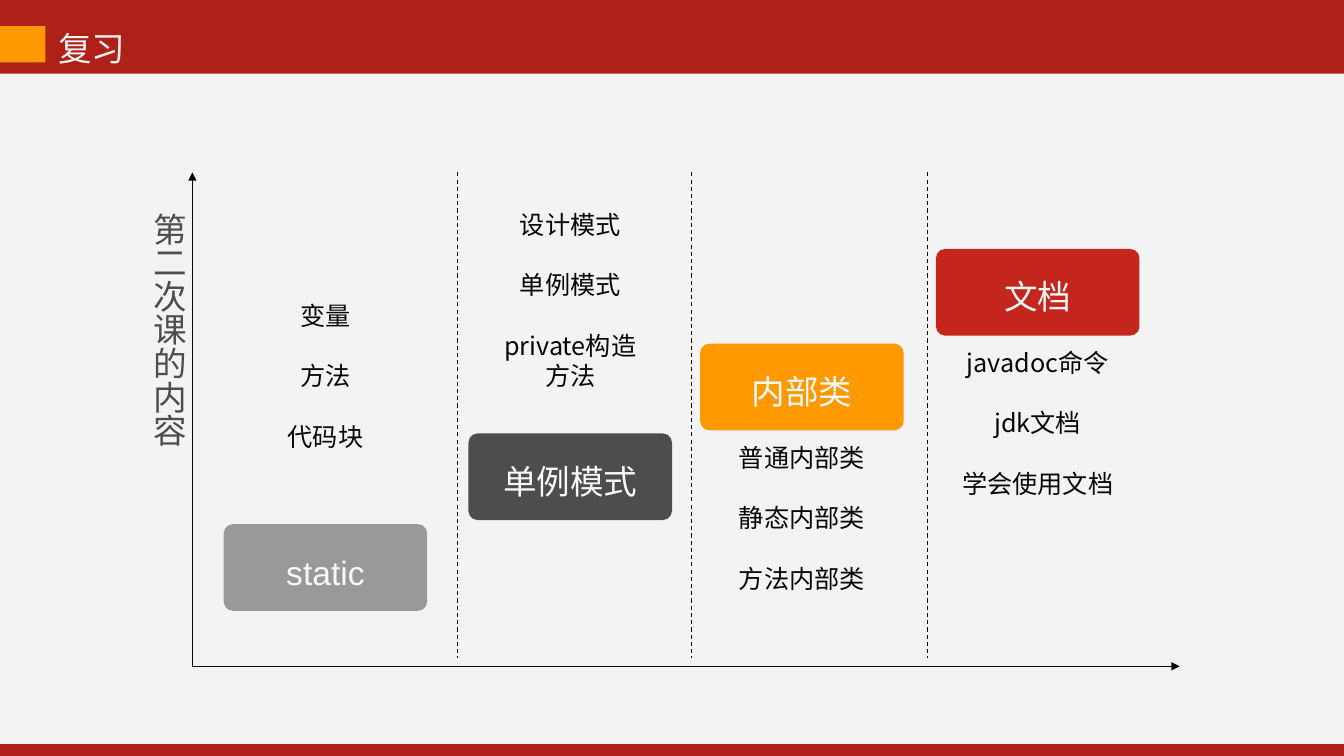
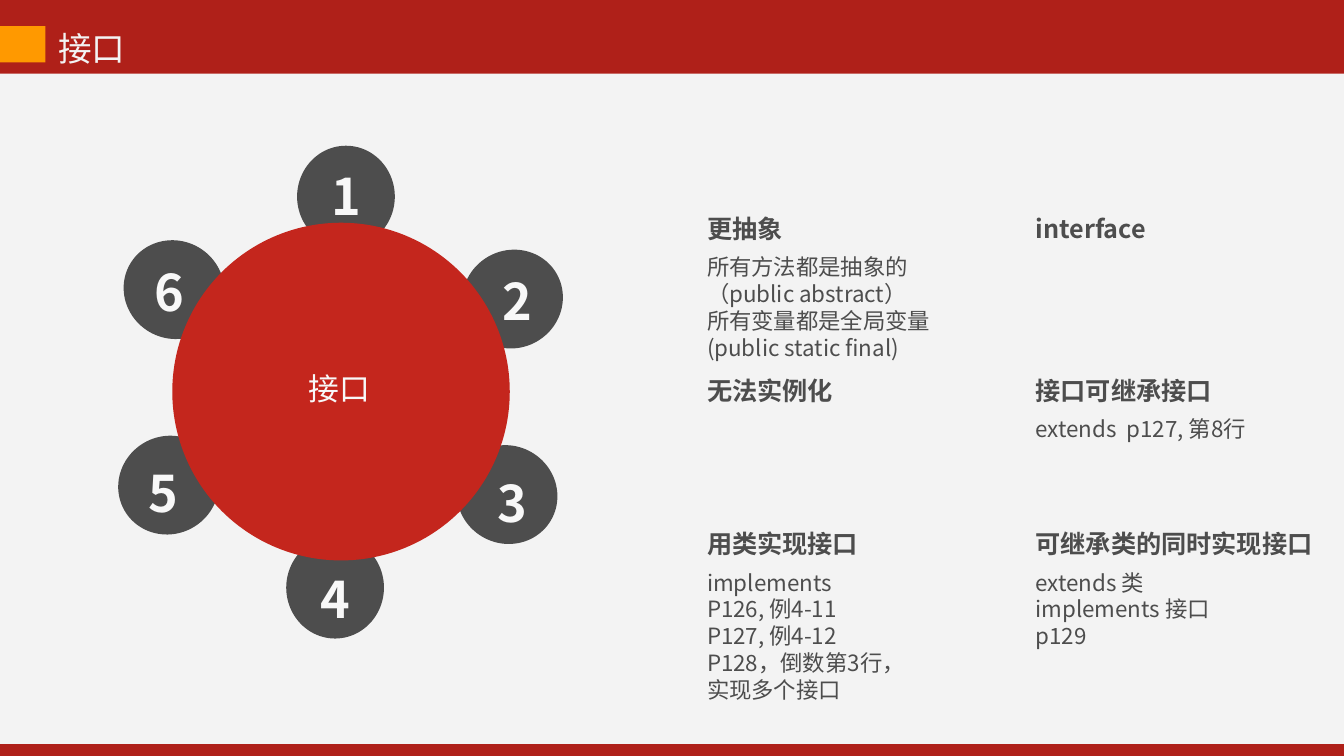
"""Builds two lesson slides: a review staircase and an overview of interfaces."""
from math import cos, radians, sin

from lxml import etree
from pptx import Presentation
from pptx.dml.color import RGBColor
from pptx.enum.dml import MSO_LINE
from pptx.enum.shapes import MSO_CONNECTOR, MSO_SHAPE
from pptx.enum.text import MSO_ANCHOR, MSO_AUTO_SIZE, PP_ALIGN
from pptx.oxml.ns import qn
from pptx.util import Inches, Pt

RED, DEEP = RGBColor(0xC4, 0x26, 0x1D), RGBColor(0xAF, 0x20, 0x19)
AMBER, GREY = RGBColor(0xFF, 0x99, 0x00), RGBColor(0x99, 0x99, 0x99)
DARK, INK = RGBColor(0x4D, 0x4D, 0x4D), RGBColor(0x08, 0x08, 0x08)
PAPER, WHITE = RGBColor(0xF3, 0xF3, 0xF3), RGBColor(0xF8, 0xF8, 0xF8)
RECT, ROUND, OVAL = MSO_SHAPE.RECTANGLE, MSO_SHAPE.ROUNDED_RECTANGLE, MSO_SHAPE.OVAL
LEFT, MID = PP_ALIGN.LEFT, PP_ALIGN.CENTER
TOP, CENTER = MSO_ANCHOR.TOP, MSO_ANCHOR.MIDDLE
STRAIGHT, DASH = MSO_CONNECTOR.STRAIGHT, MSO_LINE.DASH
FIXED = MSO_AUTO_SIZE.NONE
SANS = "Noto Sans CJK SC"
WIDE, HIGH = 13.34, 7.5
LEAD = 1.2

STEPS = [
    ("static", GREY, 2.22, 5.2, -2.3, ["变量", "方法", "代码块"]),
    ("单例模式", DARK, 4.65, 4.3, -2.3, ["设计模式", "单例模式", "private构造方法"]),
    ("内部类", AMBER, 6.95, 3.41, 0.9, ["普通内部类", "静态内部类", "方法内部类"]),
    ("文档", RED, 9.29, 2.47, 0.9, ["javadoc命令", "jdk文档", "学会使用文档"]),
]
SPLITS = [4.54, 6.86, 9.21]
AXIS_X, AXIS_Y, AXIS_TOP, AXIS_END = 1.91, 6.61, 1.71, 11.71

COLS = [6.92, 10.18]
ROWS = [2.04, 3.65, 5.17]
POINTS = [
    ("更抽象", 2.5, ["所有方法都是抽象的", "（public abstract）",
                  "所有变量都是全局变量", "(public static final)"]),
    ("interface", 0, []),
    ("无法实例化", 0, []),
    ("接口可继承接口", 2.47, ["extends  p127, 第8行"]),
    ("用类实现接口", 2.2, ["implements", "P126, 例4-11", "P127, 例4-12",
                     "P128，倒数第3行，实现多个接口"]),
    ("可继承类的同时实现接口", 2.47, ["extends 类", "implements 接口", "p129"]),
]
HUB_X, HUB_Y, NODES, TILT = 3.38, 3.89, 6, 1.6


def box(left, top, width, height):
    """Turn inches into a position and a size."""
    return [Inches(v) for v in (left, top, width, height)]


def write(frame, lines, size, color, align=LEFT, anchor=TOP, bold=False,
          font=SANS, gap=0, drop=0.1):
    """Fill a text frame, one paragraph a line."""
    frame.word_wrap = True
    frame.auto_size = FIXED
    frame.vertical_anchor = anchor
    frame.margin_left = frame.margin_right = Inches(0.1)
    frame.margin_top = Inches(0.05) + Pt(size * drop)
    frame.margin_bottom = Inches(0.05)
    for i, line in enumerate(lines):
        para = frame.add_paragraph() if i else frame.paragraphs[0]
        para.alignment = align
        para.line_spacing = Pt(size * LEAD)
        para.space_before = Pt(0)
        para.space_after = Pt(gap)
        run = para.add_run()
        run.text = line
        run.font.size, run.font.bold = Pt(size), bold
        run.font.color.rgb = color
        run.font.name = font
        east = etree.SubElement(run.font._element, qn("a:ea"))
        east.set("typeface", SANS)


def label(slide, place, lines, size, color, **style):
    """Add a text box."""
    text = slide.shapes.add_textbox(*box(*place))
    write(text.text_frame, lines, size, color, **style)
    return text


def block(slide, kind, place, color):
    """Add a flat filled shape."""
    shape = slide.shapes.add_shape(kind, *box(*place))
    shape.shadow.inherit = False
    shape.fill.solid()
    shape.fill.fore_color.rgb = color
    shape.line.fill.background()
    return shape


def rule(slide, start, end, arrow=False):
    """Add an axis with an arrowhead, or a dashed divider."""
    line = slide.shapes.add_connector(STRAIGHT, *[Inches(v) for v in start + end])
    line.line.color.rgb = INK
    line.line.width = Pt(0.75)
    if arrow:
        tail = etree.SubElement(line.line._get_or_add_ln(), qn("a:tailEnd"))
        tail.set("type", "triangle")
    else:
        line.line.dash_style = DASH
    etree.SubElement(line._element.spPr, qn("a:effectLst"))


def page(deck, title):
    """Add a slide with the shared panel, tab and title."""
    slide = deck.slides.add_slide(deck.slide_layouts[5])
    block(slide, RECT, (0, 0.73, WIDE, 6.65), PAPER)
    block(slide, RECT, (0, 0.26, 0.45, 0.36), AMBER)
    head = slide.shapes.title
    head.left, head.top, head.width, head.height = box(0.48, 0.19, 12, 0.5)
    write(head.text_frame, [title], 24, PAPER)
    return slide


def review(deck):
    """Draw the rising steps between two axes."""
    slide = page(deck, "复习")
    base = (AXIS_X, AXIS_Y)
    for end in ((AXIS_X, AXIS_TOP), (AXIS_END, AXIS_Y)):
        rule(slide, base, end, arrow=True)
    for x in SPLITS:
        rule(slide, (x, AXIS_TOP), (x, 6.53))
    for name, color, x, y, shift, items in STEPS:
        card = block(slide, ROUND, (x, y, 2.02, 0.86), color)
        card.adjustments[0] = 0.106
        write(card.text_frame, [name], 24, WHITE, align=MID, anchor=CENTER,
              font="Arial", drop=0.25)
        label(slide, (x + 0.15, y + shift, 1.72, 1.92), items, 18, INK,
              align=MID, gap=18 * LEAD)
    side = label(slide, (1.32, 2.01, 0.61, 2.71), ["第二次课的内容"], 24, DARK, drop=0)
    side.text_frame._txBody.bodyPr.set("vert", "eaVert")


def orbit(angle, reach):
    """Find a point around the hub, clockwise from the top."""
    turn = radians(angle)
    return HUB_X + reach * sin(turn), HUB_Y - reach * cos(turn)


def topics(deck):
    """Draw the numbered hub and the grid of points."""
    slide = page(deck, "接口")
    for i in range(NODES):
        angle = TILT + i * 360 / NODES
        x, y = orbit(angle, 1.94)
        node = block(slide, OVAL, (x - 0.485, y - 0.505, 0.97, 1.01), DARK)
        node.rotation = i * 360 / NODES
        x, y = orbit(angle, 2)
        label(slide, (x - 0.3, y - 0.355, 0.6, 0.71), [str(i + 1)], 36, WHITE,
              align=MID, bold=True)
    block(slide, OVAL, (1.71, 2.21, 3.35, 3.35), RED)
    label(slide, (2.87, 3.59, 1, 0.47), ["接口"], 22, WHITE, align=MID)
    for i, (name, width, lines) in enumerate(POINTS):
        x, y = COLS[i % 2], ROWS[i // 2]
        label(slide, (x, y, 3.1, 0.4), [name], 18, DARK, bold=True)
        if lines:
            label(slide, (x, y + 0.4, width, 0.1 + 0.27 * len(lines)), lines, 16, DARK)


def main():
    """Build and save the deck."""
    deck = Presentation()
    deck.slide_width, deck.slide_height = Inches(WIDE), Inches(HIGH)
    back = deck.slide_master.background.fill
    back.solid()
    back.fore_color.rgb = DEEP
    review(deck)
    topics(deck)
    deck.save("out.pptx")


if __name__ == "__main__":
    main()
